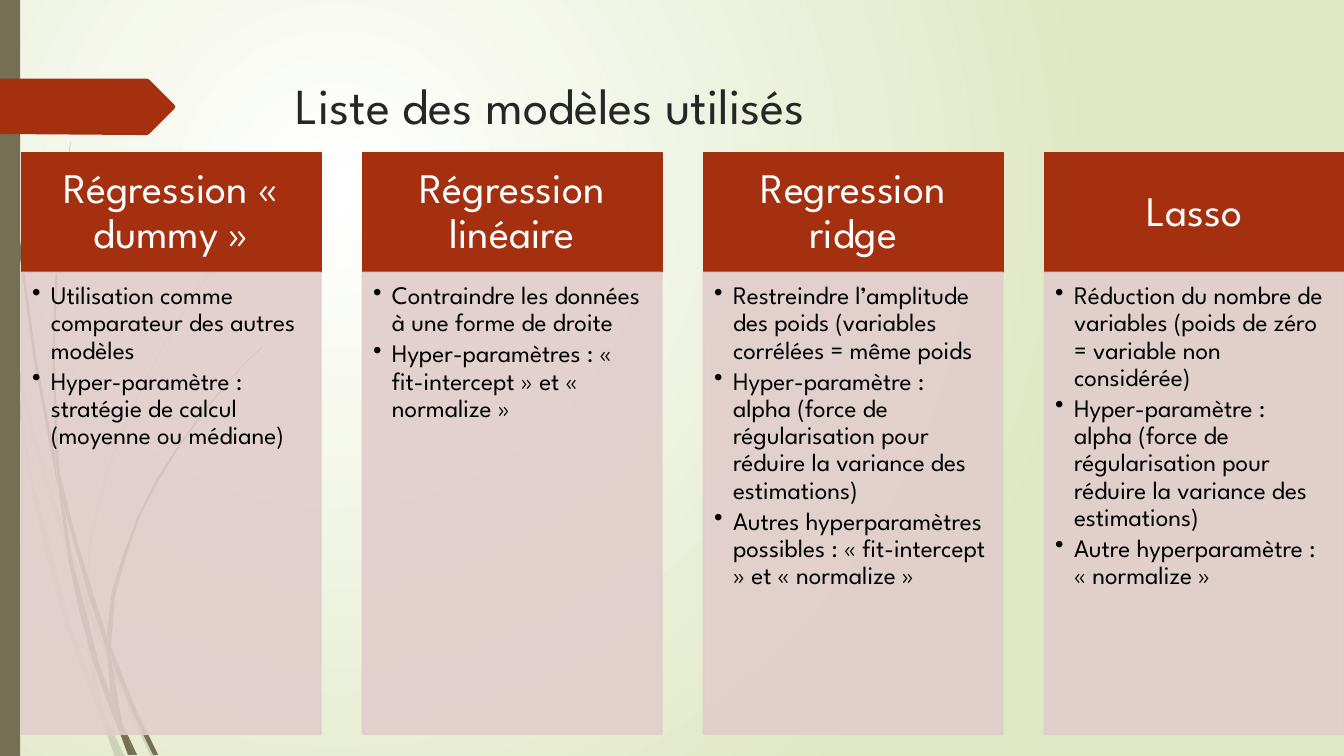
"""Build the slide that lists the regression models in four columns."""
from lxml import etree
from pptx import Presentation
from pptx.dml.color import RGBColor
from pptx.enum.shapes import MSO_SHAPE
from pptx.enum.text import MSO_ANCHOR, MSO_AUTO_SIZE, PP_ALIGN
from pptx.oxml.ns import qn
from pptx.util import Pt

RECT = MSO_SHAPE.RECTANGLE
TOP, MIDDLE = MSO_ANCHOR.TOP, MSO_ANCHOR.MIDDLE
LEFT, CENTER = PP_ALIGN.LEFT, PP_ALIGN.CENTER
NO_FIT = MSO_AUTO_SIZE.NONE

FONT = "League Spartan"
WHITE = RGBColor(0xFF, 0xFF, 0xFF)
BLACK = RGBColor(0x00, 0x00, 0x00)
DARK = RGBColor(0x26, 0x26, 0x26)
GREEN = RGBColor(0xDF, 0xE8, 0xC4)
OLIVE = RGBColor(0x76, 0x6F, 0x54)
RUST = RGBColor(0xA5, 0x30, 0x10)
PINK = RGBColor(0xE1, 0xCD, 0xCC)

COLUMN_LEFT, COLUMN_STEP, COLUMN_W = 15.4, 243.6, 213.8
HEADER_TOP, HEADER_H, BODY_H = 109, 85.6, 329.8
GRID = Pt(0.72)

MODELS = [
    ("Régression « dummy »", [
        "Utilisation comme comparateur des autres modèles",
        "Hyper-paramètre : stratégie de calcul (moyenne ou médiane)"]),
    ("Régression linéaire", [
        "Contraindre les données à une forme de droite",
        "Hyper-paramètres : « fit-intercept » et « normalize »"]),
    ("Regression ridge", [
        "Restreindre l’amplitude des poids (variables corrélées = même poids",
        "Hyper-paramètre : alpha (force de régularisation pour réduire la variance des estimations)",
        "Autres hyperparamètres possibles : « fit-intercept » et « normalize »"]),
    ("Lasso", [
        "Réduction du nombre de variables (poids de zéro = variable non considérée)",
        "Hyper-paramètre : alpha (force de régularisation pour réduire la variance des estimations)",
        "Autre hyperparamètre : « normalize »"]),
]

PALE_STEMS = [
    [(11, 350), (9, 322), (0, 282), (0, 299), (10, 344)],
    [(58, 522), (84, 599), (85, 586), (62, 520), (36, 434), (14, 345), (17, 376), (35, 449)],
    [(92, 607), (88, 596), (88, 610), (123, 694), (150, 751), (155, 751), (127, 692)],
    [(119, 751), (124, 751), (105, 711)],
    [(93, 683), (70, 619), (31, 469), (17, 376), (11, 350), (28, 470), (44, 546),
     (65, 621), (92, 693), (101, 714), (99, 707)],
    [(84, 599), (87, 646), (93, 683), (96, 692), (105, 711), (103, 706), (91, 646),
     (88, 610), (88, 608)],
    [(88, 584), (92, 532), (110, 462), (133, 404), (160, 349), (192, 294), (229, 245),
     (268, 198), (290, 175), (312, 154), (312, 153), (289, 175), (268, 197), (228, 244),
     (190, 293), (158, 348), (130, 403), (107, 461), (89, 531), (85, 584), (85, 586),
     (88, 596)],
    [(101, 714), (114, 751), (119, 751)],
    [(88, 608), (88, 610), (88, 596), (85, 586), (84, 599)],
    [(96, 692), (93, 683), (99, 707), (101, 714), (119, 751), (105, 711)],
]
DARK_STEMS = [
    [(7, 110), (17, 233), (33, 355), (56, 477), (57, 481), (55, 457), (55, 453),
     (36, 355), (19, 232), (8, 109), (5, 48), (4, 0), (3, 0), (4, 48)],
    [(88, 592), (106, 645), (106, 631), (93, 590), (75, 532), (60, 472), (64, 505)],
    [(113, 649), (110, 641), (111, 656), (132, 708), (152, 749), (157, 749), (136, 706)],
    [(110, 691), (98, 657), (72, 556), (64, 505), (57, 477), (68, 557), (79, 608),
     (93, 659), (111, 708), (117, 722), (116, 717)],
    [(60, 472), (58, 453), (54, 349), (58, 245), (63, 193), (70, 141), (62, 193),
     (56, 245), (52, 349), (55, 449)],
    [(133, 749), (136, 749), (122, 719)],
    [(57, 477), (64, 505), (60, 472), (55, 449), (55, 453)],
    [(111, 633), (114, 592), (125, 552), (139, 512), (158, 476), (180, 440), (205, 406),
     (231, 374), (245, 359), (261, 344), (260, 344), (245, 358), (231, 373), (204, 405),
     (179, 439), (156, 474), (137, 511), (122, 551), (111, 586), (106, 631), (110, 641)],
    [(117, 722), (127, 749), (131, 749)],
    [(106, 645), (110, 691), (116, 706), (122, 719), (121, 716), (111, 656), (109, 651)],
    [(106, 645), (111, 656), (110, 641), (106, 631)],
    [(116, 706), (110, 691), (116, 717), (117, 722), (130, 749), (133, 749), (122, 719)],
]
ARROW = [(0, 78), (146, 78), (148, 79), (173, 104), (174, 106), (173, 108), (148, 133),
         (146, 134), (136, 134), (0, 133)]


def paint(sp, color, alpha=100, line=False):
    sp.shadow.inherit = False
    sp.fill.solid()
    sp.fill.fore_color.rgb = color
    if line:
        sp.line.color.rgb = color
        sp.line.width = Pt(1.25)
    else:
        sp.line.fill.background()
    if alpha < 100:
        for clr in sp._element.spPr.iter(qn("a:srgbClr")):
            etree.SubElement(clr, qn("a:alpha"), val=str(alpha * 1000))


def write(sp, texts, size, color, align=LEFT, anchor=TOP, insets=(7.2, 3.6, 7.2, 3.6),
          spacing=1.0, after=0, bullet=False):
    tf = sp.text_frame
    tf.word_wrap = True
    tf.auto_size = NO_FIT
    tf.vertical_anchor = anchor
    tf.margin_left, tf.margin_top, tf.margin_right, tf.margin_bottom = map(Pt, insets)
    for i, text in enumerate(texts):
        p = tf.paragraphs[0] if i == 0 else tf.add_paragraph()
        if bullet:
            pPr = p._p.get_or_add_pPr()
            pPr.set("marL", str(Pt(13.5)))
            pPr.set("indent", str(-Pt(13.5)))
            etree.SubElement(pPr, qn("a:buChar"), char="•")
        p.alignment = align
        p.line_spacing = spacing
        p.space_before = Pt(0)
        p.space_after = Pt(after)
        r = p.add_run()
        r.text = text
        r.font.name = FONT
        r.font.size = Pt(size)
        r.font.color.rgb = color


prs = Presentation()
prs.slide_width, prs.slide_height = Pt(960), Pt(540)
s = prs.slides.add_slide(prs.slide_layouts[5])

bg = s.background.fill
bg.gradient()
for stop, position, color in zip(bg.gradient_stops, (0, 1), (WHITE, GREEN)):
    stop.position = position
    stop.color.rgb = color
grad = s._element.find(".//" + qn("a:gradFill"))
grad.remove(grad.find(qn("a:lin")))
circle = etree.SubElement(grad, qn("a:path"), {"path": "circle"})
etree.SubElement(circle, qn("a:fillToRect"), l="50000", t="50000", r="100000", b="100000")

side_bar = s.shapes.add_shape(RECT, Pt(0), Pt(0), Pt(14.4), Pt(540))
paint(side_bar, OLIVE)
for outlines, color, alpha in ((PALE_STEMS, OLIVE, 20), (DARK_STEMS, OLIVE, 100),
                               ([ARROW], RUST, 100)):
    for points in outlines:
        builder = s.shapes.build_freeform(*points[0], scale=GRID)
        builder.add_line_segments(points[1:], close=True)
        paint(builder.convert_to_shape(), color, alpha)

title = s.shapes.title
title.left, title.top, title.width, title.height = Pt(204), Pt(49), Pt(702), Pt(100.8)
write(title, ["Liste des modèles utilisés"], 36, DARK)

for i, (name, notes) in enumerate(MODELS):
    x = Pt(COLUMN_LEFT + i * COLUMN_STEP)
    header = s.shapes.add_shape(RECT, x, Pt(HEADER_TOP), Pt(COLUMN_W), Pt(HEADER_H))
    paint(header, RUST, line=True)
    write(header, [name], 30, WHITE, align=CENTER, anchor=MIDDLE,
          insets=(16.8, 9.6, 16.8, 9.6), spacing=0.9)
    body = s.shapes.add_shape(RECT, x, Pt(HEADER_TOP + HEADER_H), Pt(COLUMN_W), Pt(BODY_H))
    paint(body, PINK, alpha=90, line=True)
    write(body, notes, 18, BLACK, insets=(7.5, 7.5, 10.3, 11.3), spacing=0.9, after=2.7,
          bullet=True)

prs.save("out.pptx")
